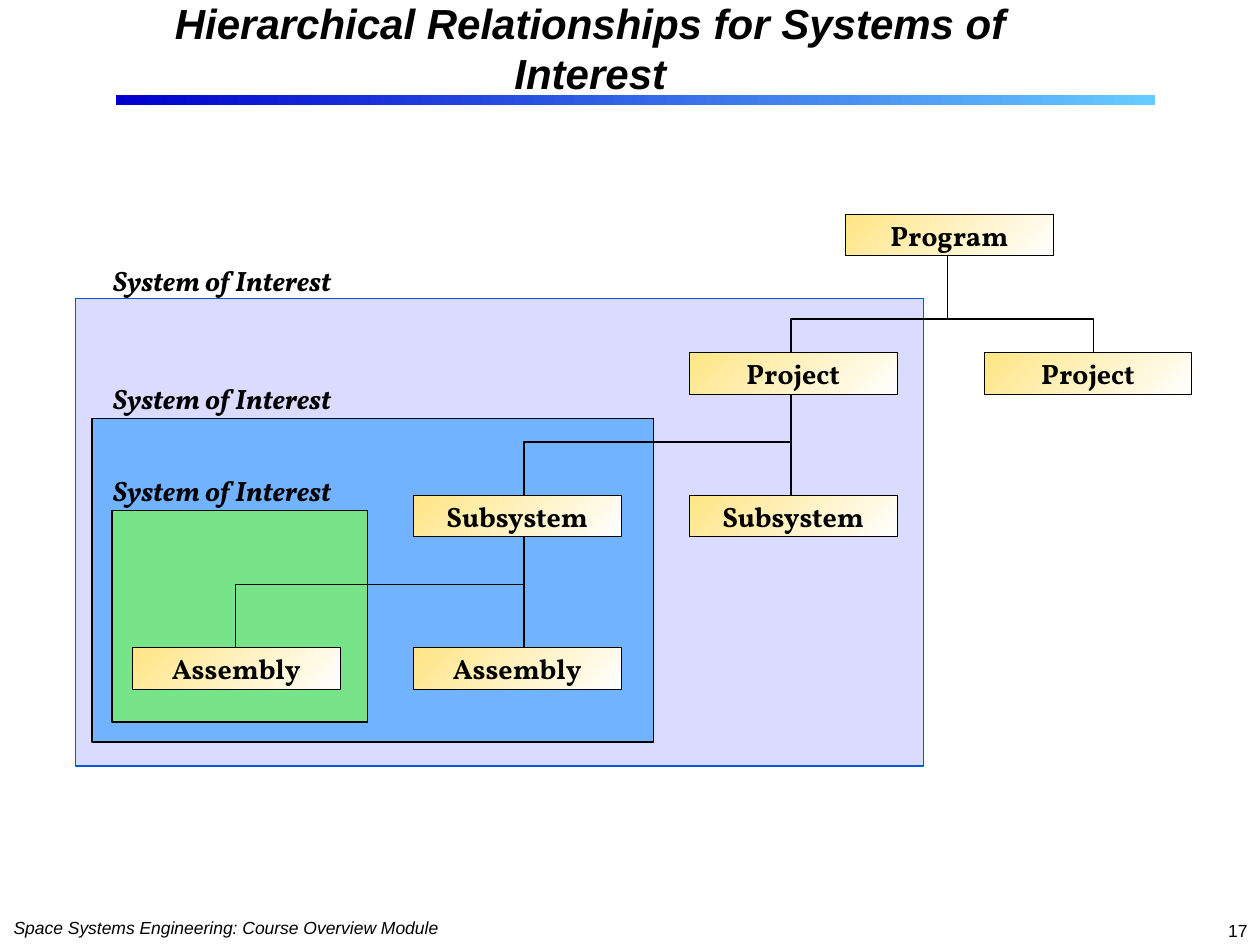
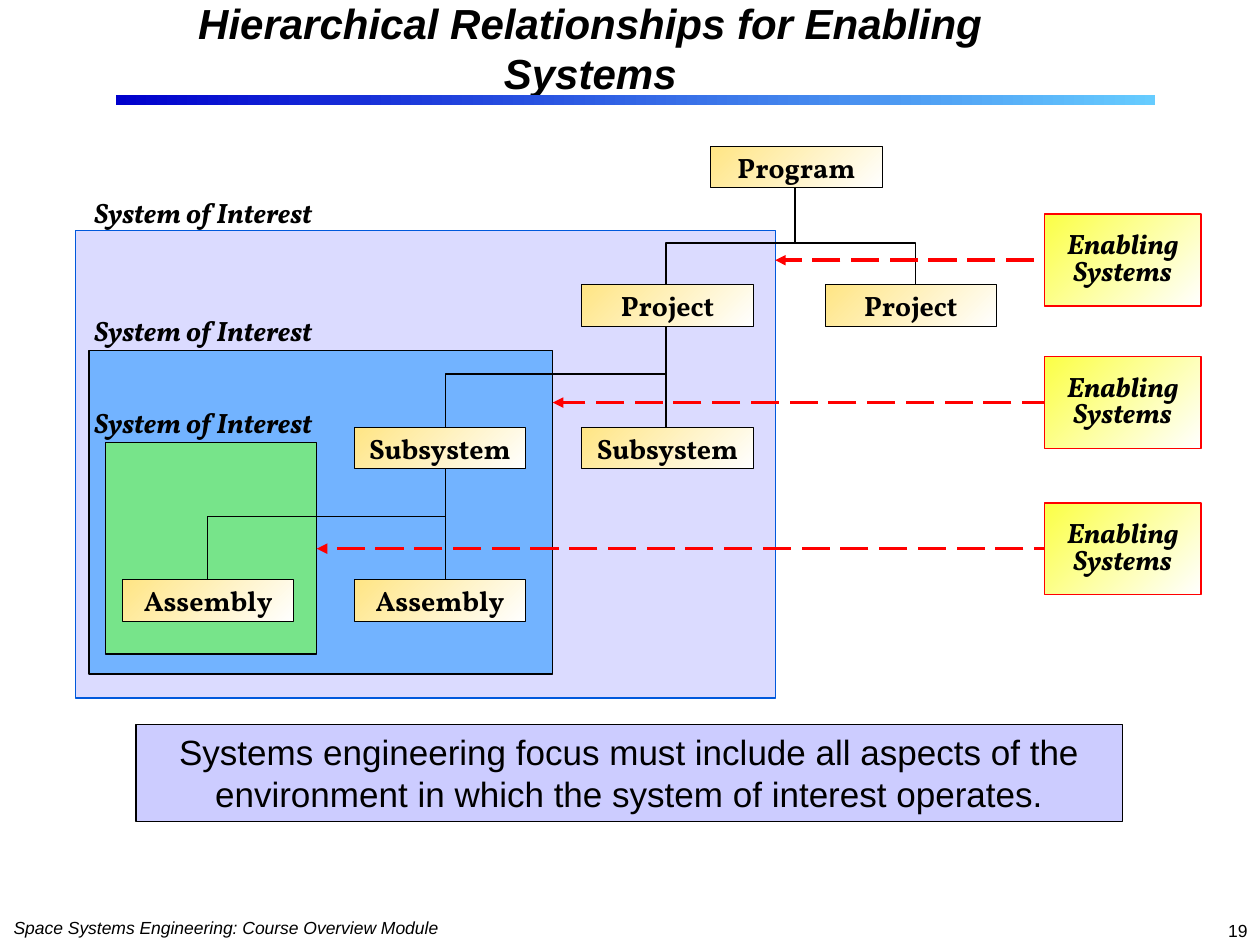
from lxml import etree
from pptx import Presentation, util as u
from pptx.dml.color import RGBColor
from pptx.enum import dml, shapes, text
from pptx.oxml import ns

COLORS = {
    "ink": "000000", "white": "FFFFFF", "bar_dark": "0000CC", "bar_light": "66CCFF",
    "project_zone": "9999FF", "project_edge": "0059DC", "subsystem_zone": "72B3FF",
    "assembly_zone": "77E48A", "unit": "FFE584", "enabling": "FBFF45",
    "alert": "FF0000", "message": "CCCCFF",
}
FONTS = {
    "title": {"name": "Arial", "size": u.Pt(24), "bold": True, "italic": True},
    "footer": {"name": "Arial", "size": u.Pt(10), "italic": True},
    "page": {"name": "Arial", "size": u.Pt(10)},
    "unit": {"name": "Vollkorn", "size": u.Pt(16), "bold": True},
    "zone": {"name": "Vollkorn", "size": u.Pt(16), "bold": True, "italic": True},
    "message": {"name": "Arial", "size": u.Pt(20)},
}
MIDDLE, TOP = text.MSO_ANCHOR.MIDDLE, text.MSO_ANCHOR.TOP
LEFT, CENTER, RIGHT = text.PP_ALIGN.LEFT, text.PP_ALIGN.CENTER, text.PP_ALIGN.RIGHT

# Hierarchy grid in inches at full width; the columns can be squeezed towards GRID_LEFT.
GRID_LEFT, UNIT_WIDTH, UNIT_HEIGHT = 0.6, 1.65, 0.33
COLUMNS = {"assembly": 1.05, "subsystem": 3.28, "project": 5.47, "program": 6.71, "other": 7.81}
TRUNKS = {"assembly": 1.87, "subsystem": 4.16, "project": 6.28, "program": 7.52, "other": 8.68}
ROWS = {"program": 1.7, "project": 2.8, "subsystem": 3.93, "assembly": 5.14}
UNITS = [
    ("Program", "program", "program"),
    ("Project", "project", "project"), ("Project", "other", "project"),
    ("Subsystem", "subsystem", "subsystem"), ("Subsystem", "project", "subsystem"),
    ("Assembly", "assembly", "assembly"), ("Assembly", "subsystem", "assembly"),
]
# left, top, width, height, fill, edge, opacity in percent, label top
ZONES = [
    (0.6, 2.37, 6.73, 3.71, "project_zone", "project_edge", 35, 2.04),
    (0.73, 3.32, 4.46, 2.57, "subsystem_zone", "ink", 100, 2.98),
    (0.89, 4.05, 2.03, 1.68, "assembly_zone", "ink", 100, 3.71),
]


def rgb(color):
    return RGBColor.from_string(COLORS[color])


def inches(*lengths):
    return [u.Inches(length) for length in lengths]


def write(shape, words, font, align=LEFT, anchor=TOP, wrap=True, grow=False, spacing=None):
    frame = shape.text_frame
    frame.text = words
    fit = text.MSO_AUTO_SIZE.SHAPE_TO_FIT_TEXT if grow else text.MSO_AUTO_SIZE.NONE
    frame_format = {"word_wrap": wrap, "vertical_anchor": anchor, "auto_size": fit}
    for name, value in frame_format.items():
        setattr(frame, name, value)
    paragraph = frame.paragraphs[0]
    paragraph.alignment, paragraph.line_spacing = align, spacing
    for name, value in FONTS[font].items():
        setattr(paragraph.font, name, value)
    paragraph.font.color.rgb = rgb(ink := "ink")


def add_label(slide, box, words, font, **layout):
    write(slide.shapes.add_textbox(*inches(*box)), words, font, **layout)


def outline(shape, color, width):
    shape.line.color.rgb = rgb(color)
    shape.line.width = u.Pt(width)


def add_panel(slide, box, fill, edge=None, width=0.75, fade_to=None, angle=315, opacity=100):
    """Add a rectangle with a plain fill, or a gradient when fade_to is given."""
    panel = slide.shapes.add_shape(shapes.MSO_SHAPE.RECTANGLE, *inches(*box))
    panel.shadow.inherit = False
    if fade_to:
        panel.fill.gradient()
        panel.fill.gradient_angle = angle
        for stop, color in zip(panel.fill.gradient_stops, (fill, fade_to)):
            stop.color.rgb = rgb(color)
    else:
        panel.fill.solid()
        panel.fill.fore_color.rgb = rgb(fill)
    if opacity < 100:
        tint = panel.fill._xPr.find(".//" + ns.qn("a:srgbClr"))
        etree.SubElement(tint, ns.qn("a:alpha"), val=str(opacity * 1000))
    if edge:
        outline(panel, edge, width)
    else:
        panel.line.fill.background()
    return panel


def add_branch(slide, points):
    start, *bends = [tuple(inches(*point)) for point in points]
    builder = slide.shapes.build_freeform(*start)
    builder.add_line_segments(bends, close=False)
    branch = builder.convert_to_shape()
    branch.shadow.inherit = False
    branch.fill.background()
    outline(branch, "ink", 1)


def add_line(slide, start, end, color, width):
    line = slide.shapes.add_connector(shapes.MSO_CONNECTOR.STRAIGHT, *inches(*start, *end))
    outline(line, color, width)
    etree.SubElement(line._element.spPr, ns.qn("a:effectLst"))
    return line


def add_support_arrow(slide, start, end):
    arrow = add_line(slide, start, end, "alert", 2)
    arrow.line.dash_style = dml.MSO_LINE.LONG_DASH
    etree.SubElement(arrow.line._get_or_add_ln(), ns.qn("a:tailEnd"), type="triangle")


def add_hierarchy(slide, bus, label_left, squeeze=1, rise=0):
    """Draw zones, branches and units; return the right edge of each zone."""
    def across(x):
        return GRID_LEFT + (x - GRID_LEFT) * squeeze

    trunk = {name: across(x) for name, x in TRUNKS.items()}
    row = {name: y - rise for name, y in ROWS.items()}
    edges = []
    for left, top, width, height, fill, edge, opacity, _ in ZONES:
        box = (across(left), top - rise, width * squeeze, height)
        add_panel(slide, box, fill, edge, opacity=opacity)
        edges.append(across(left + width))
    for *_, label_top in ZONES:
        add_label(slide, (label_left, label_top - rise, 2.24, 0.37), "System of Interest",
                  "zone", wrap=False, grow=True)

    add_branch(slide, [(trunk["project"], row["subsystem"]), (trunk["project"], bus),
                       (trunk["other"], bus), (trunk["other"], row["project"])])
    add_line(slide, (trunk["program"], row["program"]), (trunk["program"], bus), "ink", 1)
    add_branch(slide, [(trunk["project"], row["project"] + 0.71),
                       (trunk["subsystem"], row["project"] + 0.71),
                       (trunk["subsystem"], row["assembly"])])
    add_branch(slide, [(trunk["subsystem"], row["subsystem"] + 0.71),
                       (trunk["assembly"], row["subsystem"] + 0.71),
                       (trunk["assembly"], row["assembly"])])
    for name, column, level in UNITS:
        box = (across(COLUMNS[column]), row[level], UNIT_WIDTH * squeeze, UNIT_HEIGHT)
        unit = add_panel(slide, box, "unit", "ink", 0.5, fade_to="white")
        write(unit, name, "unit", CENTER, MIDDLE, wrap=False)
    return edges


def add_enabling_systems(slide, zone_edges):
    left, width, height = 8.29, 1.24, 0.73
    tops, tails = (1.7, 2.83, 3.99), (9.13, 8.95, 8.43)
    for top, tail, zone_edge in zip(tops, tails, zone_edges):
        middle = top + height / 2
        add_support_arrow(slide, (tail, middle), (zone_edge, middle))
    for top in tops:
        enabler = add_panel(slide, (left, top, width, height), "enabling", "alert", 1,
                            fade_to="white")
        write(enabler, "Enabling Systems", "zone", CENTER, MIDDLE, spacing=0.8)


def add_page(deck, title, number):
    slide = deck.slides.add_slide(deck.slide_layouts.get_by_name("Title Only"))
    add_panel(slide, (0.92, 0.75, 8.25, 0.08), "bar_light", fade_to="bar_dark", angle=180)
    add_label(slide, (0.01, 7.23, 3.57, 0.27),
              "Space Systems Engineering: Course Overview Module", "footer",
              wrap=False, grow=True)
    add_label(slide, (7.92, 7.25, 2.08, 0.25), str(number), "page", align=RIGHT)
    heading = slide.shapes.title
    place = zip(("left", "top", "width", "height"), inches(1.25, 0.13, 6.87, 0.5))
    for name, value in place:
        setattr(heading, name, value)
    write(heading, title, "title", CENTER, MIDDLE)
    return slide


def main():
    deck = Presentation()
    deck.slide_width, deck.slide_height = inches(10, 7.5)

    interest = add_page(deck, "Hierarchical Relationships for Systems of Interest", 17)
    add_hierarchy(interest, bus=2.53, label_left=0.8)

    enabling = add_page(deck, "Hierarchical Relationships for Enabling Systems", 19)
    zone_edges = add_hierarchy(enabling, bus=1.93, label_left=0.65, squeeze=0.825, rise=0.54)
    add_enabling_systems(enabling, zone_edges)
    message = add_panel(enabling, (1.08, 5.75, 7.83, 0.77), "message", "ink")
    write(message, "Systems engineering focus must include all aspects of the environment "
          "in which the system of interest operates.", "message", CENTER, grow=True)

    deck.save("out.pptx")


if __name__ == "__main__":
    main()
